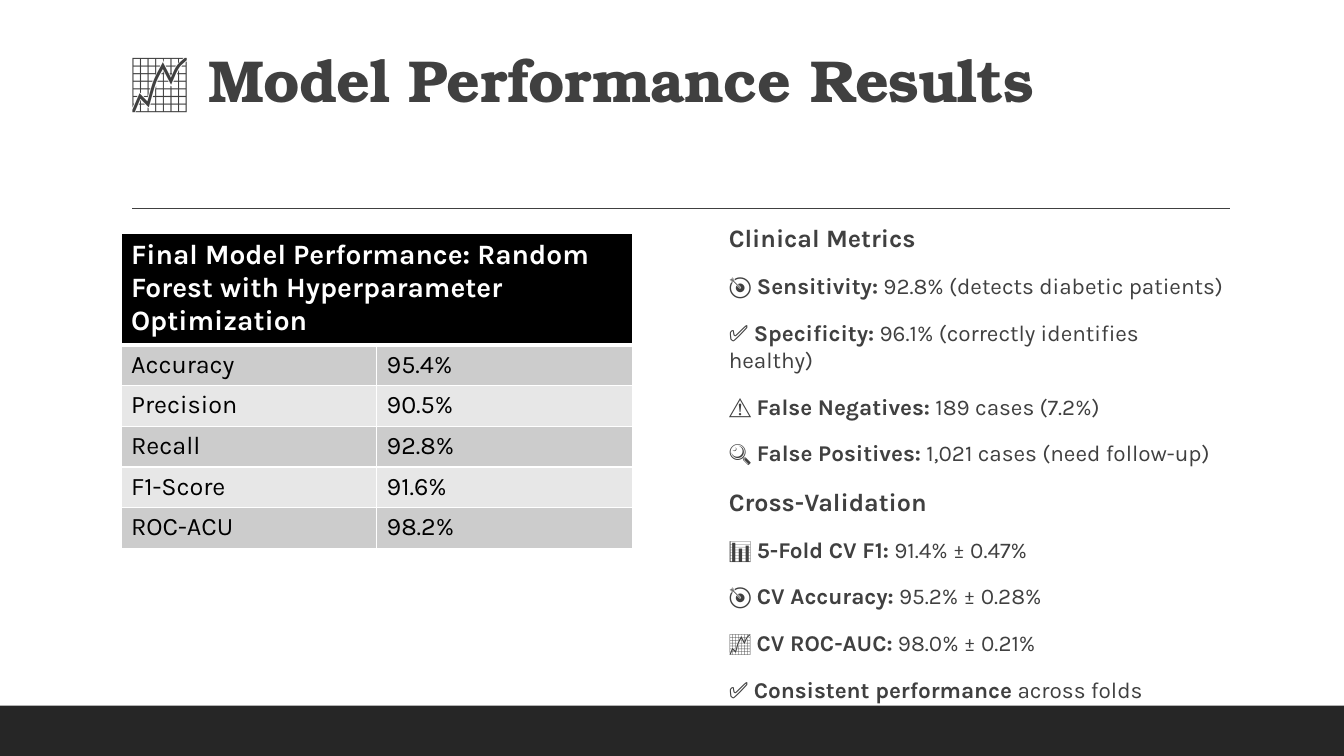
"""Build the model performance results slide."""
from lxml.etree import SubElement
from pptx import Presentation
from pptx.dml.color import RGBColor
from pptx.enum.shapes import MSO_CONNECTOR, MSO_SHAPE
from pptx.enum.text import MSO_ANCHOR
from pptx.oxml.ns import qn
from pptx.util import Inches, Pt

TITLE = "📈 Model Performance Results"
TABLE_HEADING = "Final Model Performance: Random Forest with Hyperparameter Optimization"
SCORES = [
    ("Accuracy", "95.4%"),
    ("Precision", "90.5%"),
    ("Recall", "92.8%"),
    ("F1-Score", "91.6%"),
    ("ROC-ACU", "98.2%"),
]
METRICS = [
    ("Clinical Metrics", [
        ("🎯", "Sensitivity:", "92.8% (detects diabetic patients)"),
        ("✅", "Specificity:", "96.1% (correctly identifies healthy)"),
        ("⚠️", "False Negatives:", "189 cases (7.2%)"),
        ("🔍", "False Positives:", "1,021 cases (need follow-up)"),
    ]),
    ("Cross-Validation", [
        ("📊", "5-Fold CV F1:", "91.4% ± 0.47%"),
        ("🎯", "CV Accuracy:", "95.2% ± 0.28%"),
        ("📈", "CV ROC-AUC:", "98.0% ± 0.21%"),
        ("✅", "Consistent performance", "across folds"),
    ]),
]

TITLE_FONT, BODY_FONT = "TeX Gyre Bonum", "Karla"
WHITE = RGBColor(0xFF, 0xFF, 0xFF)
BLACK = RGBColor(0, 0, 0)
FOOTER = RGBColor(0x26, 0x26, 0x26)
GRAY = RGBColor(0x40, 0x40, 0x40)
BANDS = [RGBColor(0xCC, 0xCC, 0xCC), RGBColor(0xE7, 0xE7, 0xE7)]


def style(font, name, size, color, bold=None):
    font.name, font.size, font.bold = name, Pt(size), bold
    font.color.rgb = color


def add_text_frame(page, left, top, width, height):
    box = page.shapes.add_textbox(Inches(left), Inches(top), Inches(width), Inches(height))
    box.text_frame.word_wrap = True
    return box.text_frame


def add_borders(cell, bottom):
    properties = cell._tc.get_or_add_tcPr()
    widths = {"a:lnL": 1, "a:lnR": 1, "a:lnT": 1, "a:lnB": bottom}
    for position, (tag, width) in enumerate(widths.items()):
        line = SubElement(properties, qn(tag), w=str(Pt(width)))
        fill = SubElement(line, qn("a:solidFill"))
        SubElement(fill, qn("a:srgbClr"), val=str(WHITE))
        properties.insert(position, line)


def fill_cell(cell, text, size, color, fill, bold=False, bottom=1):
    cell.text = text
    style(cell.text_frame.paragraphs[0].font, BODY_FONT, size, color, bold)
    cell.fill.solid()
    cell.fill.fore_color.rgb = fill
    add_borders(cell, bottom)


def add_frame(page, deck):
    footer = page.shapes.add_shape(
        MSO_SHAPE.RECTANGLE, 0, Inches(7), deck.slide_width, Inches(0.5))
    footer.shadow.inherit = False
    footer.fill.solid()
    footer.fill.fore_color.rgb = FOOTER
    footer.line.fill.background()
    rule = page.shapes.add_connector(
        MSO_CONNECTOR.STRAIGHT, Inches(1.31), Inches(2.07), Inches(12.2), Inches(2.07))
    rule.line.color.rgb = GRAY
    rule.line.width = Pt(1)
    SubElement(rule._element.spPr, qn("a:effectLst"))


def add_title(page):
    frame = add_text_frame(page, 1.2, 0.24, 11, 0.95)
    frame.vertical_anchor = MSO_ANCHOR.BOTTOM
    para = frame.paragraphs[0]
    para.line_spacing = 0.9
    span = para.add_run()
    span.text = TITLE
    style(span.font, TITLE_FONT, 42.3, GRAY, True)
    span.font._element.set("spc", "-50")


def add_scores(page):
    table = page.shapes.add_table(
        len(SCORES) + 1, 2, Inches(1.2), Inches(2.32), Inches(5.07), Inches(3.04)).table
    for row in table.rows:
        row.height = Pt(29.1)
    table.rows[0].height = Inches(1.07)
    table.rows[0].height = Inches(1.02)
    heading = table.cell(0, 0)
    heading.merge(table.cell(0, 1))
    fill_cell(heading, TABLE_HEADING, 20, WHITE, BLACK, True, 3)
    for row, score in enumerate(SCORES, 1):
        for column, text in enumerate(score):
            fill_cell(table.cell(row, column), text, 18, BLACK, BANDS[(row - 1) % 2])


def add_metrics(page):
    frame = add_text_frame(page, 7.13, 2.16, 5.07, 4.65)
    frame.margin_left, frame.margin_right = Inches(0.1), Inches(0.04)
    lines = []
    for heading, items in METRICS:
        lines.append((17.9, [(heading, True)]))
        for icon, label, value in items:
            lines.append((16.1, [(icon + " ", False), (label, True), (" " + value, False)]))
    for number, (size, spans) in enumerate(lines):
        para = frame.add_paragraph() if number else frame.paragraphs[0]
        para.space_before, para.space_after = Pt(12 if number else 0), Pt(2)
        style(para.font, BODY_FONT, size, GRAY)
        for text, bold in spans:
            span = para.add_run()
            span.text, span.font.bold = text, bold


def main():
    deck = Presentation()
    deck.slide_width, deck.slide_height = Inches(13.33), Inches(7.5)
    page = deck.slides.add_slide(deck.slide_layouts[6])
    add_frame(page, deck)
    add_title(page)
    add_scores(page)
    add_metrics(page)
    deck.save("out.pptx")


if __name__ == "__main__":
    main()
